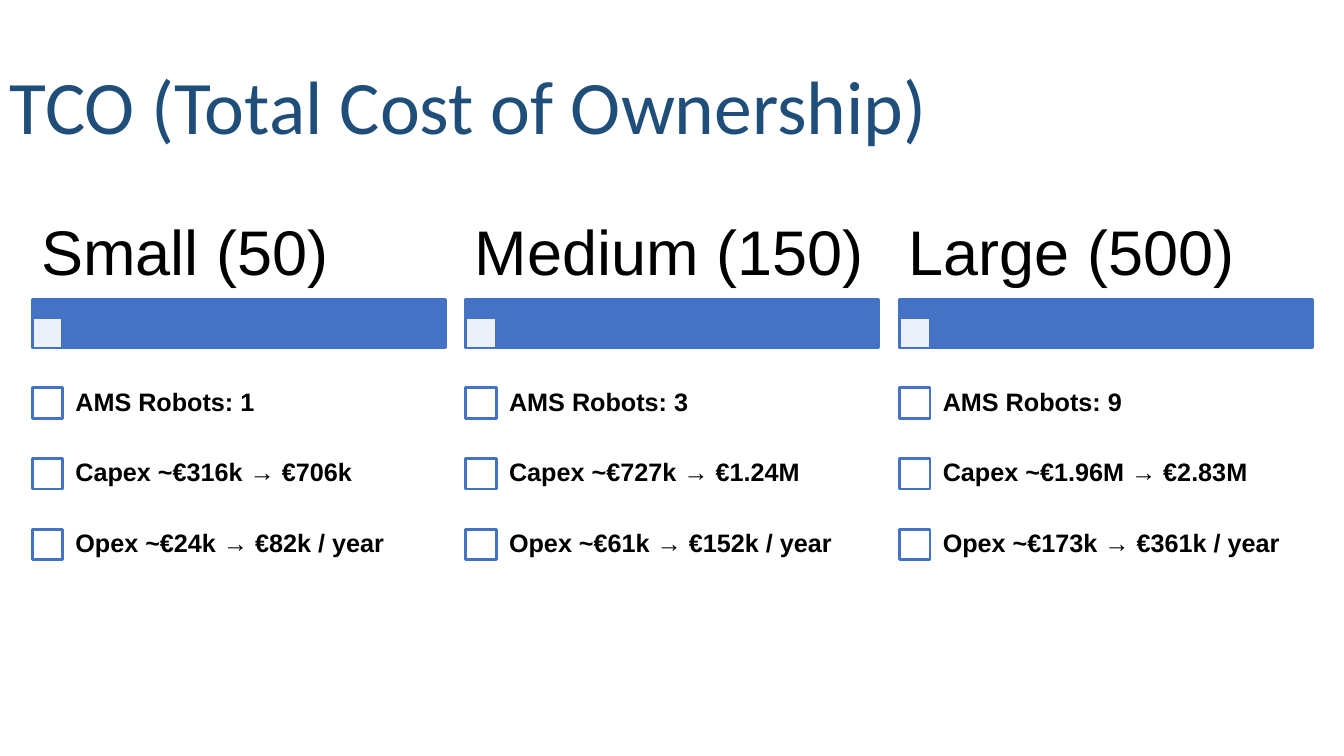
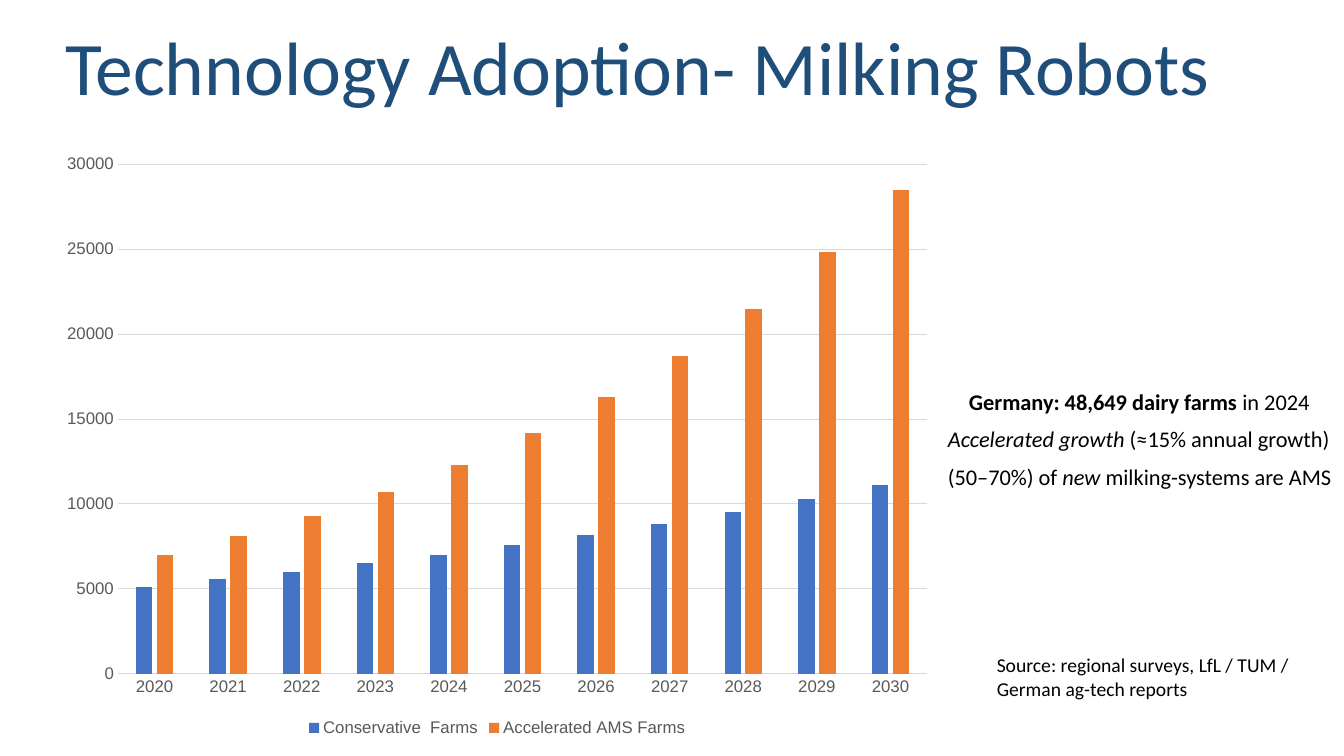
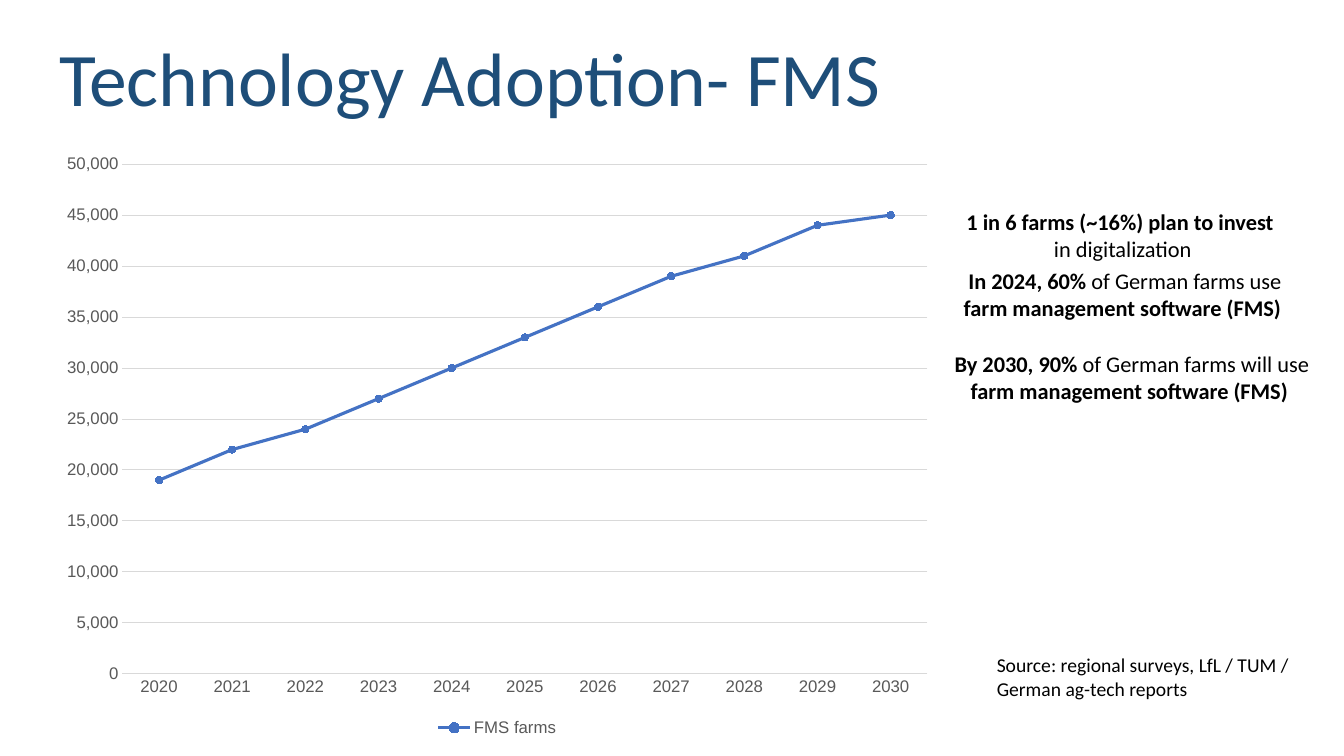
from dataclasses import dataclass

from lxml import etree
from pptx import Presentation
from pptx.chart.data import CategoryChartData
from pptx.dml.color import RGBColor
from pptx.enum.chart import XL_CHART_TYPE, XL_LEGEND_POSITION, XL_MARKER_STYLE, XL_TICK_MARK
from pptx.enum.shapes import MSO_SHAPE
from pptx.enum.text import MSO_ANCHOR, MSO_AUTO_SIZE, PP_ALIGN
from pptx.oxml.ns import qn
from pptx.util import Cm, Pt

COLUMNS = XL_CHART_TYPE.COLUMN_CLUSTERED
LINES = XL_CHART_TYPE.LINE_MARKERS_STACKED
LEGEND_BOTTOM = XL_LEGEND_POSITION.BOTTOM
CIRCLE = XL_MARKER_STYLE.CIRCLE
NO_TICK = XL_TICK_MARK.NONE
RECTANGLE = MSO_SHAPE.RECTANGLE
TOP, MIDDLE = MSO_ANCHOR.TOP, MSO_ANCHOR.MIDDLE
NO_FIT = MSO_AUTO_SIZE.NONE
LEFT, CENTER = PP_ALIGN.LEFT, PP_ALIGN.CENTER


@dataclass
class Theme:
    title = RGBColor(0x1E, 0x4E, 0x79)
    text = RGBColor(0, 0, 0)
    white = RGBColor(0xFF, 0xFF, 0xFF)
    blue = RGBColor(0x44, 0x72, 0xC4)
    orange = RGBColor(0xED, 0x7D, 0x31)
    axis = RGBColor(0x59, 0x59, 0x59)
    grid = RGBColor(0xD9, 0xD9, 0xD9)
    body_font = "Calibri"
    shape_font = "Arial"
    title_size = Pt(54)
    heading_size = Pt(45)
    item_size = Pt(18)
    note_size = Pt(16)
    source_size = Pt(14)
    axis_size = Pt(12)
    chart_size = Pt(10)


theme = Theme()


def write(box, paragraphs, size, font=theme.body_font, color=theme.text, align=LEFT,
          anchor=TOP, insets=(0.25, 0.13), spacing=1.0):
    """Fill a box with paragraphs, each a list of (text, style) runs."""
    frame = box.text_frame
    frame.auto_size = NO_FIT
    frame.word_wrap = True
    frame.vertical_anchor = anchor
    frame.margin_left = frame.margin_right = Cm(insets[0])
    frame.margin_top = frame.margin_bottom = Cm(insets[1])
    for index, runs in enumerate(paragraphs):
        para = frame.add_paragraph() if index else frame.paragraphs[0]
        para.alignment = align
        para.line_spacing = spacing
        for text, style in runs:
            span = para.add_run()
            span.text = text
            span.font.name = font
            span.font.size = size
            span.font.color.rgb = color
            span.font.bold = style == "bold"
            span.font.italic = style == "italic"


def add_rectangle(page, left, top, width, height, color):
    box = page.shapes.add_shape(RECTANGLE, Cm(left), Cm(top), Cm(width), Cm(height))
    box.shadow.inherit = False
    box.fill.solid()
    box.fill.fore_color.rgb = color
    box.line.color.rgb = theme.blue
    box.line.width = Pt(2)
    return box


deck = Presentation()
deck.slide_width, deck.slide_height = Cm(33.87), Cm(19.05)

# Pages and titles: text, left, top, width, alignment
titles = [
    ("TCO (Total Cost of Ownership)", 0, 1.35, 30.48, LEFT),
    ("Technology Adoption- Milking Robots", 1.24, 0.38, 29.67, CENTER),
    ("Technology Adoption- FMS", 1.24, 0.66, 21.44, LEFT),
]
pages = []
for text, left, top, width, align in titles:
    page = deck.slides.add_slide(deck.slide_layouts[5])
    title = page.shapes.title
    title.left, title.top, title.width, title.height = Cm(left), Cm(top), Cm(width), Cm(2.57)
    write(title, [[(text, "")]], theme.title_size, color=theme.title, align=align)
    pages.append(page)
cost_page, robots_page, software_page = pages

# Cost columns by farm size
farm_sizes = [
    ("Small (50)", ["AMS Robots: 1", "Capex ~€316k → €706k", "Opex ~€24k → €82k / year"]),
    ("Medium (150)", ["AMS Robots: 3", "Capex ~€727k → €1.24M", "Opex ~€61k → €152k / year"]),
    ("Large (500)", ["AMS Robots: 9", "Capex ~€1.96M → €2.83M", "Opex ~€173k → €361k / year"]),
]
column_width, column_pitch = 10.41, 10.93
row_height, check_size = 1.78, 0.77
label_indent = 0.73
for column, (heading, items) in enumerate(farm_sizes):
    left = 0.81 + column * column_pitch
    add_rectangle(cost_page, left, 7.54, column_width, 1.22, theme.blue)
    marker = add_rectangle(cost_page, left, 8, check_size, check_size, theme.white)
    fill_color = marker.element.spPr.find(qn("a:solidFill")).find(qn("a:srgbClr"))
    etree.SubElement(fill_color, qn("a:alpha")).set("val", "90000")
    box = cost_page.shapes.add_textbox(Cm(left), Cm(5.33), Cm(column_width), Cm(2.21))
    write(box, [[(heading, "")]], theme.heading_size, theme.shape_font,
          anchor=MIDDLE, insets=(0.23, 0.15), spacing=0.9)
    for row, item in enumerate(items):
        top = 9.27 + row * row_height
        add_rectangle(cost_page, left, top + (row_height - check_size) / 2,
                      check_size, check_size, theme.white)
        box = cost_page.shapes.add_textbox(Cm(left + label_indent), Cm(top),
                                           Cm(column_width - label_indent), Cm(row_height))
        write(box, [[(item, "bold")]], theme.item_size, theme.shape_font,
              anchor=MIDDLE, insets=(0.36, 0.36), spacing=0.9)

# Adoption charts: page, type, number format, axis maximum, series
charts = [
    (robots_page, COLUMNS, "General", 30000, [
        ("Conservative  Farms", theme.blue,
         [5100, 5600, 6000, 6500, 7000, 7600, 8200, 8800, 9500, 10300, 11100]),
        ("Accelerated AMS Farms", theme.orange,
         [7000, 8100, 9300, 10700, 12300, 14200, 16300, 18700, 21500, 24800, 28500]),
    ]),
    (software_page, LINES, "#,##0", 50000, [
        ("FMS farms", theme.blue,
         [19000, 22000, 24000, 27000, 30000, 33000, 36000, 39000, 41000, 44000, 45000]),
    ]),
]
for page, chart_type, number_format, maximum, series_rows in charts:
    data = CategoryChartData(number_format=number_format)
    data.categories = [str(year) for year in range(2020, 2031)]
    for name, color, values in series_rows:
        data.add_series(name, values)
    chart = page.shapes.add_chart(chart_type, Cm(1.24), Cm(3.61), Cm(22.58), Cm(15.06), data).chart
    chart.has_title = False
    chart.font.name = theme.shape_font
    chart.font.size = theme.chart_size
    chart.font.color.rgb = theme.text
    chart.has_legend = True
    chart.legend.position = LEGEND_BOTTOM
    chart.legend.include_in_layout = False

    # Axes and legend
    years, farms = chart.category_axis, chart.value_axis
    for font in (years.tick_labels.font, farms.tick_labels.font, chart.legend.font):
        font.name = theme.shape_font
        font.size = theme.axis_size
        font.color.rgb = theme.axis
    for axis in (years, farms):
        axis.major_tick_mark = axis.minor_tick_mark = NO_TICK
    farms.has_major_gridlines = True
    for line in (years.format.line, farms.major_gridlines.format.line):
        line.color.rgb = theme.grid
        line.width = Pt(0.75)
    farms.format.line.fill.background()
    farms.minimum_scale, farms.maximum_scale, farms.major_unit = 0, maximum, 5000
    farms.tick_labels.number_format = number_format
    farms.tick_labels.number_format_is_linked = False

    # Series
    plot = chart.plots[0]
    plot.vary_by_categories = False
    if chart_type == COLUMNS:
        plot.gap_width, plot.overlap = 219, -27
    for series, (name, color, values) in zip(plot.series, series_rows):
        if chart_type == COLUMNS:
            painted = [series.format.fill]
        else:
            series.smooth = False
            series.format.line.color.rgb = color
            series.format.line.width = Pt(2.25)
            series.marker.style = CIRCLE
            series.marker.size = 5
            series.marker.format.line.color.rgb = color
            painted = [series.marker.format.fill]
        for fill in painted:
            fill.solid()
            fill.fore_color.rgb = color

    # Source line
    box = page.shapes.add_textbox(Cm(24.87), Cm(16.33), Cm(8.74), Cm(1.45))
    write(box, [[("Source: regional surveys, LfL / TUM / German ag-tech reports", "")]],
          theme.source_size)

# Key facts beside the charts: page, left, top, width, paragraphs
software = [("farm management software (FMS) ", "bold")]
facts = [
    (robots_page, 24.1, 9.65, 9.22,
     [[("Germany: 48,649 dairy farms", "bold"), (" in 2024", "")]]),
    (robots_page, 23.57, 10.59, 10.26,
     [[("Accelerated growth", "italic"), (" (≈15% annual growth)", "")]]),
    (robots_page, 23.57, 11.53, 10.3,
     [[("(50–70%) of ", ""), ("new", "italic"), (" milking-systems are AMS", "")]]),
    (software_page, 24.05, 5.11, 8.36,
     [[("1 in 6 farms (~16%) plan to invest", "bold")], [(" in digitalization", "")]]),
    (software_page, 23.83, 6.6, 9.04,
     [[("In 2024, 60%", "bold"), (" of German farms use", "")], software]),
    (software_page, 23.75, 8.69, 9.55,
     [[("By 2030, 90%", "bold"), (" of German farms will use", "")], software]),
]
for page, left, top, width, paragraphs in facts:
    height = 0.26 + 0.68 * len(paragraphs)
    box = page.shapes.add_textbox(Cm(left), Cm(top), Cm(width), Cm(height))
    write(box, paragraphs, theme.note_size, align=CENTER, insets=(0, 0.13))

deck.save("out.pptx")
